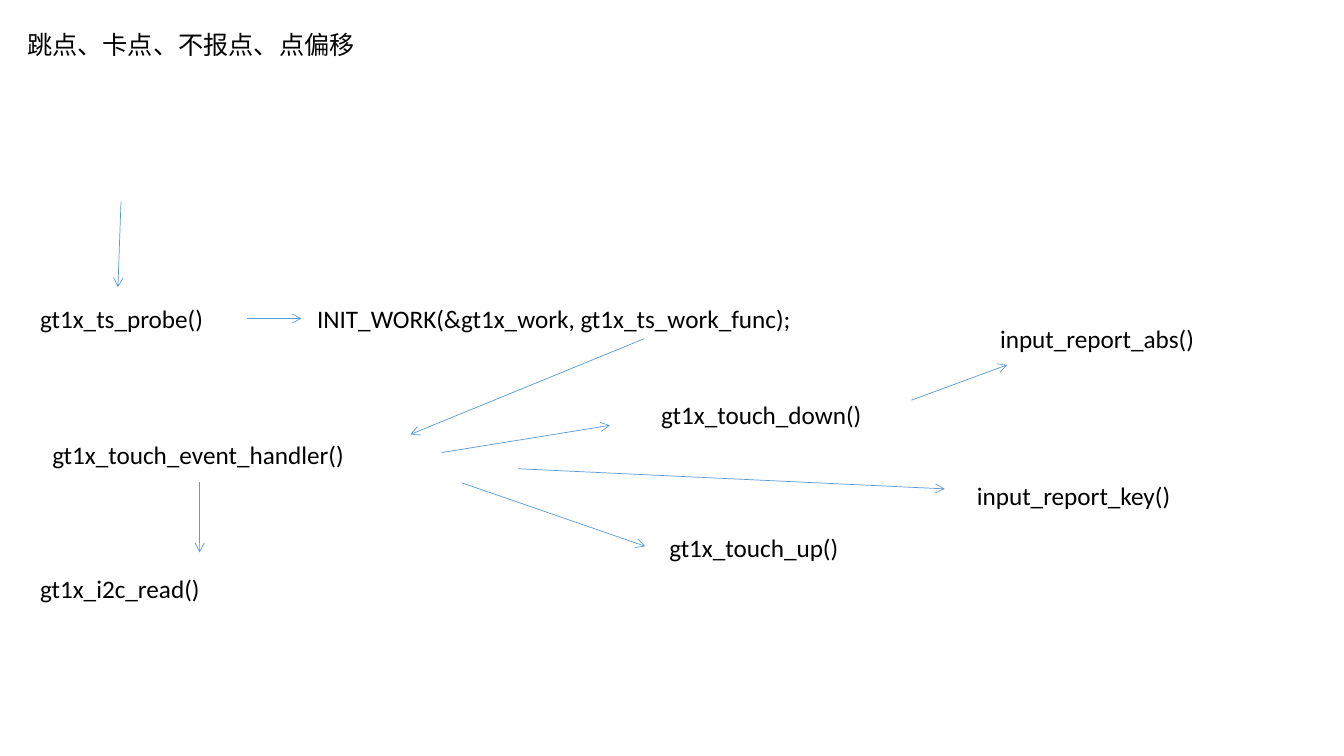
from lxml import etree
from pptx import Presentation
from pptx import util as u
from pptx.dml.color import RGBColor
from pptx.enum import shapes, text
from pptx.oxml.ns import qn

COLORS = {"text": "000000", "arrow": "5B9BD5"}
FONT = "Calibri"
LABEL_HEIGHT = 0.4
LEFT_SIDE = 1

TITLE = ("跳点、卡点、不报点、点偏移", 0.17, 0.24, 3.45)

CALLS = {
    "probe": ("gt1x_ts_probe()", 0.3, 2.96, 3.55),
    "init_work": (" INIT_WORK(&gt1x_work, gt1x_ts_work_func);", 2.99, 2.96, 7.87),
    "handler": ("gt1x_touch_event_handler()", 0.42, 4.31, 5.82),
    "read": ("gt1x_i2c_read()", 0.3, 5.64, 2.78),
    "down": ("gt1x_touch_down()", 6.46, 3.91, 2.78),
    "up": ("gt1x_touch_up()", 6.54, 5.23, 2.78),
    "key": ("input_report_key()", 9.59, 4.72, 2.78),
    "abs": ("input_report_abs()", 9.82, 3.16, 2.78),
}

ARROWS = {
    "entry_to_probe": (1.2, 2, 1.17, 2.85),
    "probe_to_init_work": (2.45, 3.16, 2.99, 3.16),
    "init_work_to_handler": (6.39, 3.36, 4.07, 4.31),
    "handler_to_read": (1.98, 4.78, 1.98, 5.48),
    "handler_to_down": (4.38, 4.49, 6.05, 4.22),
    "handler_to_up": (4.58, 4.79, 6.4, 5.42),
    "handler_to_key": (5.14, 4.65, 9.37, 4.85),
    "down_to_abs": (9.04, 3.97, 9.99, 3.62),
}


def add_label(slide, label, left, top, width, wrap=True):
    shape = slide.shapes.add_textbox(
        u.Inches(left), u.Inches(top), u.Inches(width), u.Inches(LABEL_HEIGHT))
    frame = shape.text_frame
    frame.word_wrap = wrap
    frame.auto_size = text.MSO_AUTO_SIZE.SHAPE_TO_FIT_TEXT
    paragraph = frame.paragraphs[0]
    paragraph.text = label
    paragraph.font.name = FONT
    paragraph.font.size = u.Pt(18)
    paragraph.font.color.rgb = RGBColor.from_string(COLORS["text"])
    return shape


def add_arrow(slide, *ends):
    connector = slide.shapes.add_connector(
        shapes.MSO_CONNECTOR.STRAIGHT, *map(u.Inches, ends))
    connector.line.width = u.Pt(0.5)
    connector.line.color.rgb = RGBColor.from_string(COLORS["arrow"])
    properties = connector.element.find(qn("p:spPr"))
    etree.SubElement(properties.find(qn("a:ln")), qn("a:tailEnd"), type="arrow")
    etree.SubElement(properties, qn("a:effectLst"))
    return connector


def add_call_graph(slide, left, top):
    labels = {
        name: add_label(slide, label, left + x, top + y, width)
        for name, (label, x, y, width) in CALLS.items()
    }
    arrows = {
        name: add_arrow(slide, left + x1, top + y1, left + x2, top + y2)
        for name, (x1, y1, x2, y2) in ARROWS.items()
    }
    arrows["probe_to_init_work"].end_connect(labels["init_work"], LEFT_SIDE)


def main():
    presentation = Presentation()
    presentation.slide_width = u.Inches(13.33)
    presentation.slide_height = u.Inches(7.5)
    slide = presentation.slides.add_slide(presentation.slide_layouts[6])
    add_label(slide, *TITLE, wrap=False)
    add_call_graph(slide, 0, 0)
    presentation.save("out.pptx")


if __name__ == "__main__":
    main()
